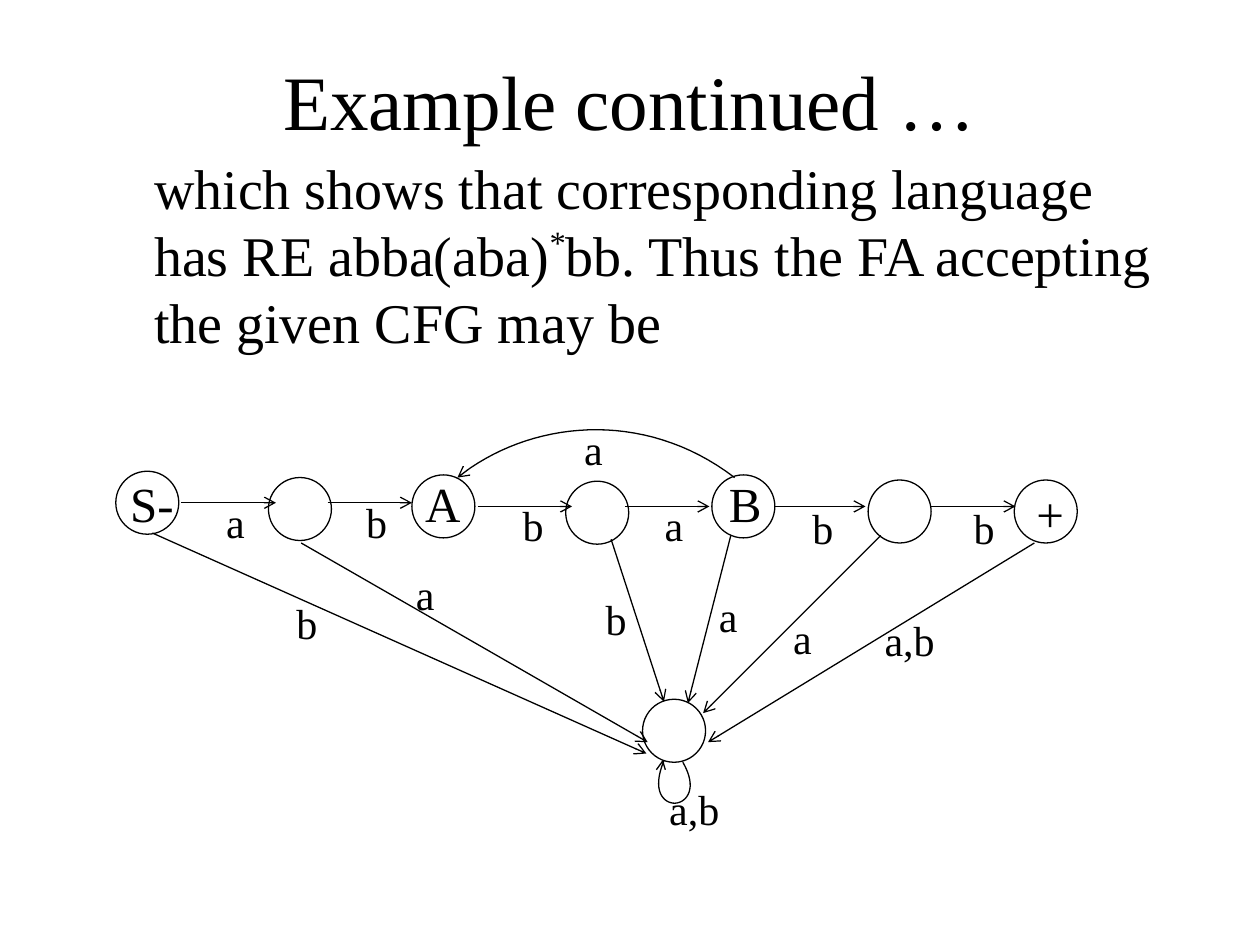
from dataclasses import dataclass

from lxml import etree
from pptx import Presentation
from pptx.dml.color import RGBColor
from pptx.enum.shapes import MSO_CONNECTOR, MSO_SHAPE
from pptx.enum.text import MSO_ANCHOR, PP_ALIGN
from pptx.oxml.ns import qn
from pptx.util import Pt

LEFT, CENTER = PP_ALIGN.LEFT, PP_ALIGN.CENTER
TOP, MIDDLE = MSO_ANCHOR.TOP, MSO_ANCHOR.MIDDLE
OVAL, STRAIGHT = MSO_SHAPE.OVAL, MSO_CONNECTOR.STRAIGHT


@dataclass(frozen=True)
class Theme:
    font: str = "Times New Roman"
    ink: RGBColor = RGBColor(0, 0, 0)
    paper: RGBColor = RGBColor(255, 255, 255)
    title: float = 44
    body: float = 32
    state: float = 28
    label: float = 24
    line: float = 0.75


THEME = Theme()
SIZE = 36  # diameter of a state

# left, top
STATES = [
    (66.2, 269.3), (153.4, 272.9), (235.4, 271.4), (323.3, 275),
    (406.8, 271.4), (496.1, 274.3), (579.6, 274.3), (367.2, 399.6),
]
# start x, start y, end x, end y
STEPS = [
    (103.7, 287.3, 157.7, 287.3), (187.2, 287.3, 235.4, 287.3),
    (272.9, 289.4, 326.9, 289.4), (357.1, 289.4, 405.4, 289.4),
    (442.8, 289.4, 494.6, 289.4), (532.1, 289.4, 580.3, 289.4),
]
TRAPS = [
    (87.1, 304.6, 369.4, 430.6), (172.1, 310.3, 370.1, 424.1),
    (349.2, 308.2, 379.4, 401), (417.6, 306, 393.1, 401.8),
    (503.3, 306, 401.8, 407.5), (591.1, 310.3, 404.6, 424.1),
]
# text, left, top, width
NAMES = [
    ("S-", 56.9, 267.1, 59.8), ("A", 223.2, 267.1, 59.8),
    ("B", 396, 267.1, 59.8), ("+", 570.2, 272.9, 59.8),
]
LABELS = [
    ("a", 116.6, 280.1, 36), ("b", 197.3, 280.1, 36),
    ("b", 286.6, 282.2, 36), ("a", 367.2, 282.2, 36),
    ("b", 452.2, 283.7, 36), ("b", 544.3, 283.7, 36),
    ("a", 321.1, 238.3, 36), ("b", 148.3, 337.7, 54),
    ("a", 216, 321.1, 54), ("b", 334.1, 335.5, 36),
    ("a", 398.2, 334.1, 36), ("a", 440.6, 346.3, 36),
    ("a,b", 483.1, 347.8, 73.4), ("a,b", 360, 444.2, 73.4),
]


def style(run, size):
    run.font.name = THEME.font
    run.font.size = Pt(size)
    run.font.color.rgb = THEME.ink


def text(slide, words, box, size, align=CENTER, anchor=TOP):
    frame = slide.shapes.add_textbox(*map(Pt, box)).text_frame
    frame.word_wrap = True
    frame.vertical_anchor = anchor
    frame.text = words
    para = frame.paragraphs[0]
    para.alignment = align
    style(para.runs[0], size)
    return para


def body(slide):
    """Add the sentence with its raised star."""
    para = text(slide, "which shows that corresponding language has RE abba(aba)",
                (54, 84.2, 612, 324), THEME.body, LEFT)
    para.space_before = Pt(8)
    para._p.get_or_add_pPr().set("marL", str(Pt(27)))
    for words in ("*", "bb. Thus the FA accepting the given CFG may be"):
        run = para.add_run()
        run.text = words
        style(run, THEME.body)
    para.runs[1].font._element.set("baseline", "40000")


def state(slide, left, top):
    node = slide.shapes.add_shape(OVAL, Pt(left), Pt(top), Pt(SIZE), Pt(SIZE))
    node.shadow.inherit = False
    node.fill.solid()
    node.fill.fore_color.rgb = THEME.paper
    pen(node)


def pen(item, arrow=False):
    item.line.color.rgb = THEME.ink
    item.line.width = Pt(THEME.line)
    if arrow:
        etree.SubElement(item.line._get_or_add_ln(), qn("a:tailEnd"), type="arrow")


def arrow(slide, *ends):
    link = slide.shapes.add_connector(STRAIGHT, *map(Pt, ends))
    pen(link, True)
    etree.SubElement(link._element.spPr, qn("a:effectLst"))


def path(slide, points, arrow=False):
    """Draw an open outline through the points."""
    first, *rest = [(Pt(x), Pt(y)) for x, y in points]
    build = slide.shapes.build_freeform(*first)
    build.add_line_segments(rest, close=False)
    item = build.convert_to_shape()
    item.shadow.inherit = False
    item.fill.background()
    pen(item, arrow)


def curve(start, pull, push, end, steps=32):
    """Return points along a cubic Bezier curve."""
    def blend(t, a, b, c, d):
        u = 1 - t
        return u**3 * a + 3 * u * u * t * b + 3 * u * t * t * c + t**3 * d

    return [tuple(blend(i / steps, *axis) for axis in zip(start, pull, push, end))
            for i in range(steps + 1)]


def main():
    deck = Presentation()
    deck.slide_width, deck.slide_height = Pt(720), Pt(540)
    slide = deck.slides.add_slide(deck.slide_layouts[6])

    text(slide, "Example continued …", (54, 12.2, 612, 90), THEME.title, anchor=MIDDLE)
    body(slide)
    for spot in STATES:
        state(slide, *spot)
    for ends in STEPS + TRAPS:
        arrow(slide, *ends)

    path(slide, curve((419.8, 272.9), (367.2, 232.6), (301.7, 240.5), (261.4, 272.9)), True)
    path(slide, curve((390.2, 435.6), (407.5, 465.1), (365, 468.7), (379.4, 434.9)))
    path(slide, [(375.1, 439.9), (378.7, 434.9), (380.2, 439.9)])

    for items, size, tall in ((NAMES, THEME.state, 41), (LABELS, THEME.label, 36)):
        for words, left, top, width in items:
            text(slide, words, (left, top, width, tall), size)
    deck.save("out.pptx")


if __name__ == "__main__":
    main()
